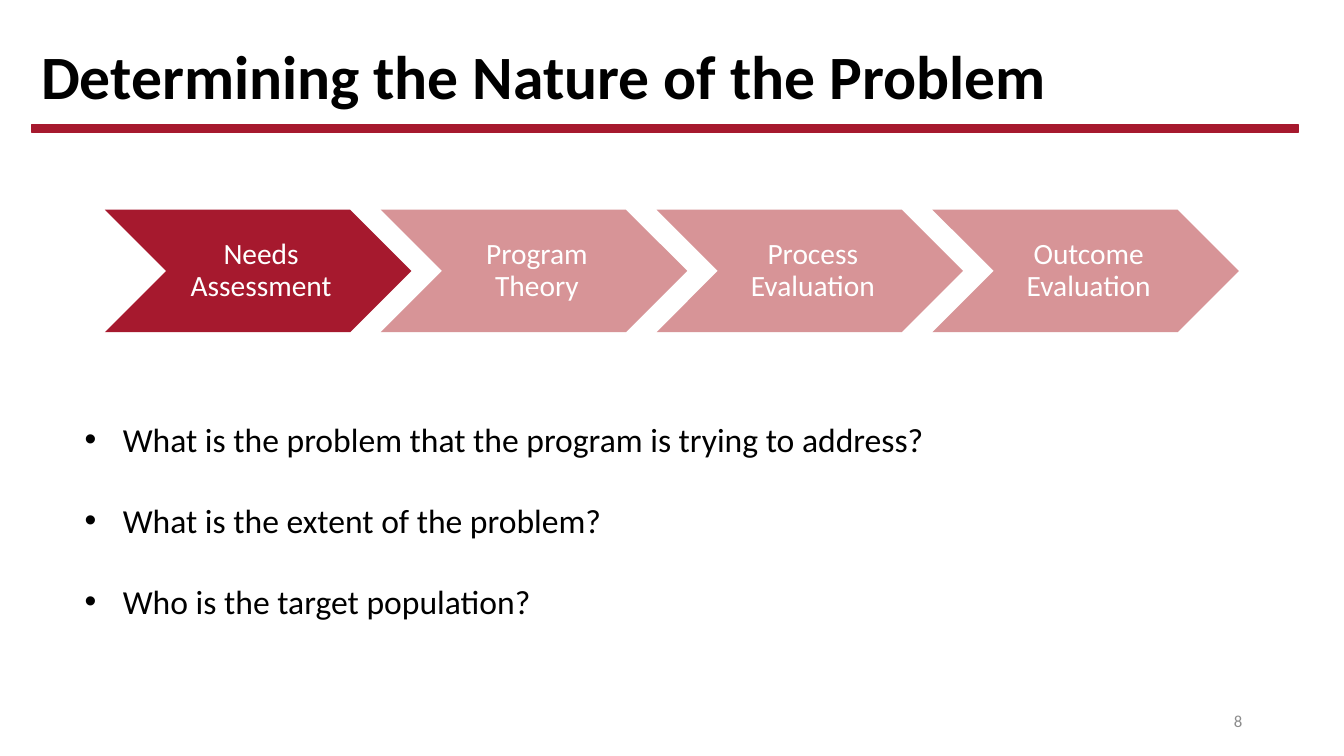
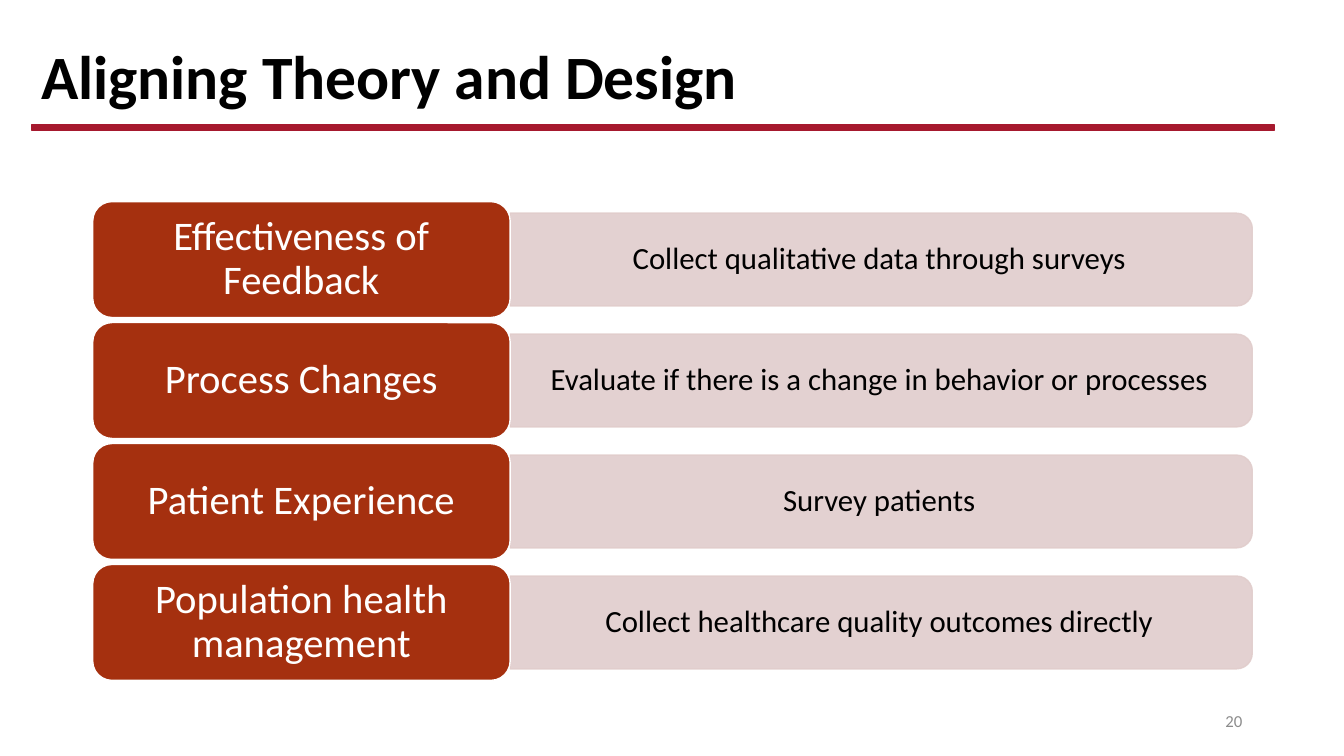
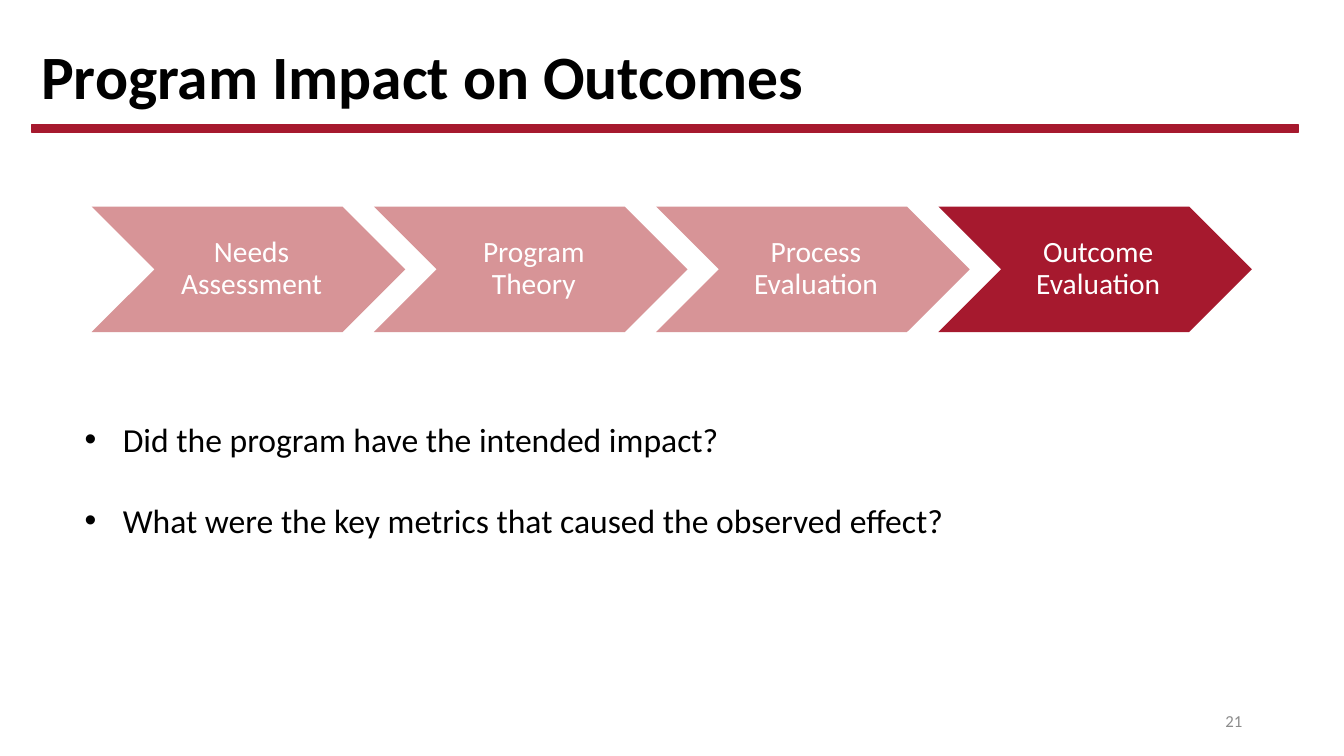
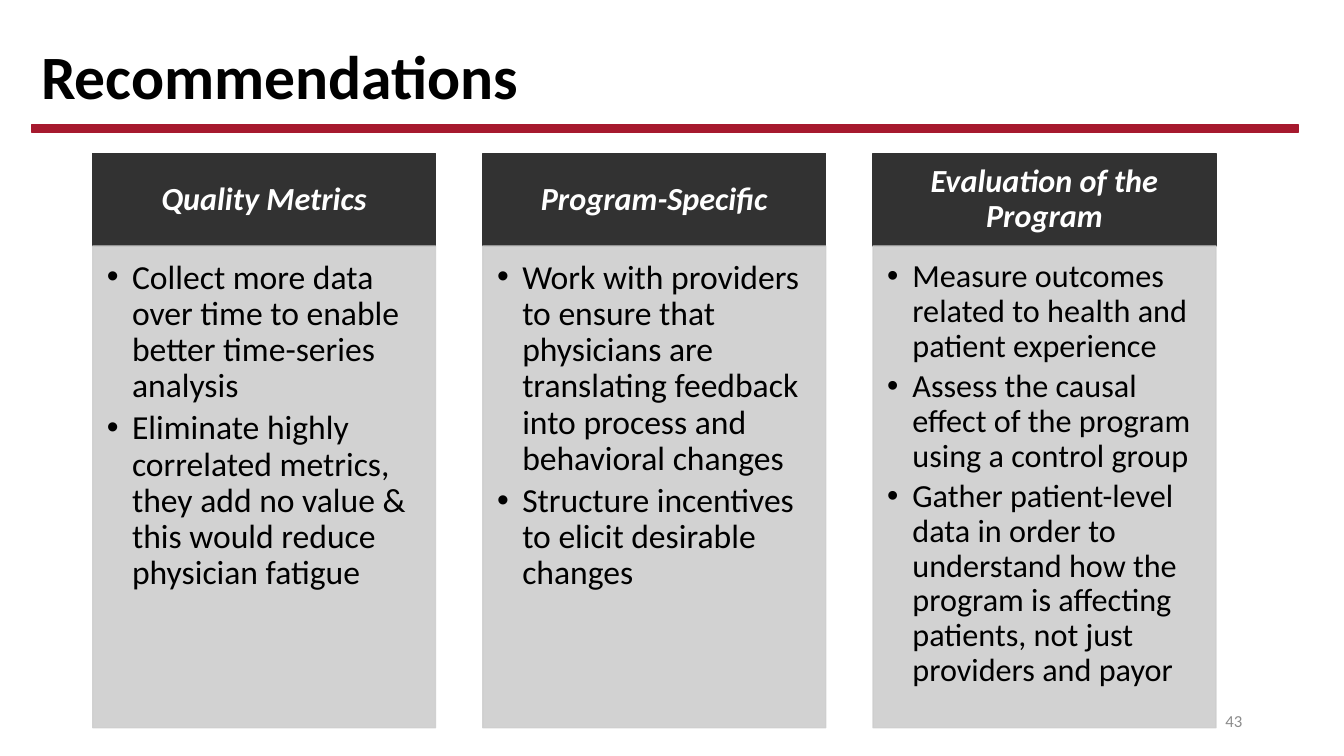
"""Build four program evaluation slides."""
from dataclasses import dataclass

import lxml.etree
import pptx
import pptx.dml.color
import pptx.enum.shapes
import pptx.enum.text
import pptx.oxml.ns
import pptx.shapes.autoshape
import pptx.slide
import pptx.util

Inches = pptx.util.Inches
Pt = pptx.util.Pt
RGBColor = pptx.dml.color.RGBColor
Shape = pptx.shapes.autoshape.Shape
Slide = pptx.slide.Slide
Preset = pptx.enum.shapes.MSO_SHAPE
Align = pptx.enum.text.PP_ALIGN
Anchor = pptx.enum.text.MSO_ANCHOR
qn = pptx.oxml.ns.qn

FONT = "Calibri"
BLACK = RGBColor(0x00, 0x00, 0x00)
WHITE = RGBColor(0xFF, 0xFF, 0xFF)
CRIMSON = RGBColor(0xA6, 0x19, 0x2E)
FADED_CRIMSON = RGBColor(0xD7, 0x94, 0x97)
RUST = RGBColor(0xA5, 0x30, 0x0F)
BLUSH = RGBColor(0xE1, 0xCD, 0xCC)
CHARCOAL = RGBColor(0x32, 0x32, 0x32)
SILVER = RGBColor(0xCE, 0xCE, 0xCE)
NUMBER_GRAY = RGBColor(0x8C, 0x8C, 0x8C)

DEFAULT_INSETS = (0.1, 0.05, 0.1, 0.05)
STAGES = ("Needs Assessment", "Program Theory", "Process Evaluation", "Outcome Evaluation")


@dataclass(frozen=True)
class Box:
    left: float
    top: float
    width: float
    height: float

    def lengths(self) -> tuple[pptx.util.Length, ...]:
        return tuple(Inches(value) for value in (self.left, self.top, self.width, self.height))


@dataclass(frozen=True)
class AlignmentRow:
    label: str
    method: str


@dataclass(frozen=True)
class Recommendation:
    heading: str
    points: tuple[str, ...]
    size: float


ALIGNMENT_ROWS = (
    AlignmentRow("Effectiveness of Feedback", "Collect qualitative data through surveys"),
    AlignmentRow("Process Changes", "Evaluate if there is a change in behavior or processes"),
    AlignmentRow("Patient Experience", "Survey patients"),
    AlignmentRow("Population health management", "Collect healthcare quality outcomes directly"),
)

RECOMMENDATIONS = (
    Recommendation(
        "Quality Metrics",
        (
            "Collect more data over time to enable better time-series analysis",
            "Eliminate highly correlated metrics, they add no value & this would reduce physician fatigue",
        ),
        24,
    ),
    Recommendation(
        "Program-Specific",
        (
            "Work with providers to ensure that physicians are translating feedback into process "
            "and behavioral changes",
            "Structure incentives to elicit desirable changes",
        ),
        24,
    ),
    Recommendation(
        "Evaluation of the Program",
        (
            "Measure outcomes related to health and patient experience",
            "Assess the causal effect of the program using a control group",
            "Gather patient-level data in order to understand how the program is affecting patients, "
            "not just providers and payor",
        ),
        23,
    ),
)


def write_text(
    shape: Shape,
    *texts: str,
    size: float,
    color: RGBColor = BLACK,
    bold: bool = False,
    italic: bool = False,
    align: Align = Align.LEFT,
    anchor: Anchor = Anchor.MIDDLE,
    insets: tuple[float, float, float, float] = DEFAULT_INSETS,
    line_spacing: float = 0.9,
    gap: float = 0,
    bullet_indent: float = 0,
) -> None:
    frame = shape.text_frame
    frame.word_wrap = True
    frame.vertical_anchor = anchor
    frame.margin_left, frame.margin_top, frame.margin_right, frame.margin_bottom = map(Inches, insets)
    for index, text in enumerate(texts):
        paragraph = frame.add_paragraph() if index else frame.paragraphs[0]
        paragraph.alignment = align
        paragraph.line_spacing = line_spacing
        paragraph.space_before = Pt(gap if index else 0)
        if bullet_indent:
            properties = paragraph._p.get_or_add_pPr()
            properties.set("marL", str(Inches(bullet_indent)))
            properties.set("indent", str(-Inches(bullet_indent)))
            lxml.etree.SubElement(properties, qn("a:buFont")).set("typeface", "Arial")
            lxml.etree.SubElement(properties, qn("a:buChar")).set("char", "•")
        run = paragraph.add_run()
        run.text = text
        run.font.name = FONT
        run.font.size = Pt(size)
        run.font.bold = bold
        run.font.italic = italic
        run.font.color.rgb = color


def add_text_box(slide: Slide, box: Box) -> Shape:
    return slide.shapes.add_textbox(*box.lengths())


def add_block(
    slide: Slide,
    preset: Preset,
    box: Box,
    fill: RGBColor,
    line: RGBColor | None = None,
    opacity: int = 100,
) -> Shape:
    shape = slide.shapes.add_shape(preset, *box.lengths())
    shape.shadow.inherit = False
    shape.fill.solid()
    shape.fill.fore_color.rgb = fill
    if line is None:
        shape.line.fill.background()
    else:
        shape.line.color.rgb = line
        shape.line.width = Pt(1)
    if opacity < 100:
        for color in shape._element.spPr.iter(qn("a:srgbClr")):
            lxml.etree.SubElement(color, qn("a:alpha")).set("val", str(opacity * 1000))
    return shape


def add_slide(
    presentation: pptx.presentation.Presentation,
    title: str,
    number: int,
    band_width: float = 12.57,
    band_height: float = 0.07,
) -> Slide:
    slide = presentation.slides.add_slide(presentation.slide_layouts[6])
    write_text(add_text_box(slide, Box(0.31, 0.33, 11.5, 0.91)), title, size=44, bold=True)
    add_block(slide, Preset.RECTANGLE, Box(0.31, 1.24, band_width, band_height), CRIMSON, CRIMSON)
    write_text(
        add_text_box(slide, Box(9.42, 6.95, 3, 0.4)),
        str(number),
        size=12,
        color=NUMBER_GRAY,
        align=Align.RIGHT,
        line_spacing=1.0,
    )
    return slide


def add_stages(slide: Slide, active: str, left: float, top: float, width: float) -> None:
    for index, stage in enumerate(STAGES):
        box = Box(left + index * width * 0.9, top, width, width * 0.4)
        chevron = add_block(slide, Preset.CHEVRON, box, CRIMSON if stage == active else FADED_CRIMSON)
        write_text(
            chevron, stage, size=21, color=WHITE, align=Align.CENTER, insets=(0.09, 0.03, 0.03, 0.03)
        )


def add_questions(slide: Slide, height: float, *questions: str) -> None:
    write_text(
        add_text_box(slide, Box(0.74, 4.11, 10.21, height)),
        *questions,
        size=24,
        anchor=Anchor.TOP,
        line_spacing=1.0,
        gap=29,
        bullet_indent=0.38,
    )


def add_alignment_row(slide: Slide, row: AlignmentRow, top: float) -> None:
    label_box = Box(0.92, top, 4.14, 1.15)
    bar_left, bar_length, bar_height = label_box.left + label_box.width, 7.36, 0.92
    middle = top + label_box.height / 2
    upright = Box(
        bar_left + (bar_length - bar_height) / 2, middle - bar_length / 2, bar_height, bar_length
    )
    bar = add_block(slide, Preset.ROUND_2_SAME_RECTANGLE, upright, BLUSH, BLUSH, opacity=90)
    bar.rotation = 90
    write_text(
        add_text_box(slide, Box(bar_left, middle - 0.42, 7.32, 0.84)),
        row.method,
        size=22,
        align=Align.CENTER,
        insets=(0.27, 0.14, 0.27, 0.14),
    )
    label = add_block(slide, Preset.ROUNDED_RECTANGLE, label_box, RUST, WHITE)
    write_text(
        label, row.label, size=29, color=WHITE, align=Align.CENTER, insets=(0.12, 0.06, 0.12, 0.06)
    )


def add_recommendation(slide: Slide, recommendation: Recommendation, left: float) -> None:
    heading = add_block(slide, Preset.RECTANGLE, Box(left, 1.52, 3.4, 0.92), CHARCOAL, CHARCOAL)
    write_text(
        heading,
        recommendation.heading,
        size=23,
        color=WHITE,
        bold=True,
        italic=True,
        align=Align.CENTER,
        insets=(0.18, 0.1, 0.18, 0.1),
    )
    body = add_block(slide, Preset.RECTANGLE, Box(left, 2.44, 3.4, 4.78), SILVER, SILVER, opacity=90)
    write_text(
        body,
        *recommendation.points,
        size=recommendation.size,
        anchor=Anchor.TOP,
        insets=(0.14, 0.14, 0.18, 0.2),
        gap=4,
        bullet_indent=0.25,
    )


def main() -> None:
    presentation = pptx.Presentation()
    presentation.slide_width = Inches(13.33)
    presentation.slide_height = Inches(7.5)

    nature = add_slide(presentation, "Determining the Nature of the Problem", 8)
    add_stages(nature, "Needs Assessment", left=1.04, top=2.08, width=3.04)
    add_questions(
        nature,
        2.52,
        "What is the problem that the program is trying to address?",
        "What is the extent of the problem?",
        "Who is the target population?",
    )

    alignment = add_slide(
        presentation, "Aligning Theory and Design", 20, band_width=12.33, band_height=0.05
    )
    for index, row in enumerate(ALIGNMENT_ROWS):
        add_alignment_row(alignment, row, 2 + index * 1.2)

    impact = add_slide(presentation, "Program Impact on Outcomes", 21)
    add_stages(impact, "Outcome Evaluation", left=0.91, top=2.05, width=3.11)
    add_questions(
        impact,
        1.31,
        "Did the program have the intended impact?",
        "What were the key metrics that caused the observed effect?",
    )

    summary = add_slide(presentation, "Recommendations", 43)
    for index, recommendation in enumerate(RECOMMENDATIONS):
        add_recommendation(summary, recommendation, 0.92 + index * 3.87)

    presentation.save("out.pptx")


if __name__ == "__main__":
    main()
